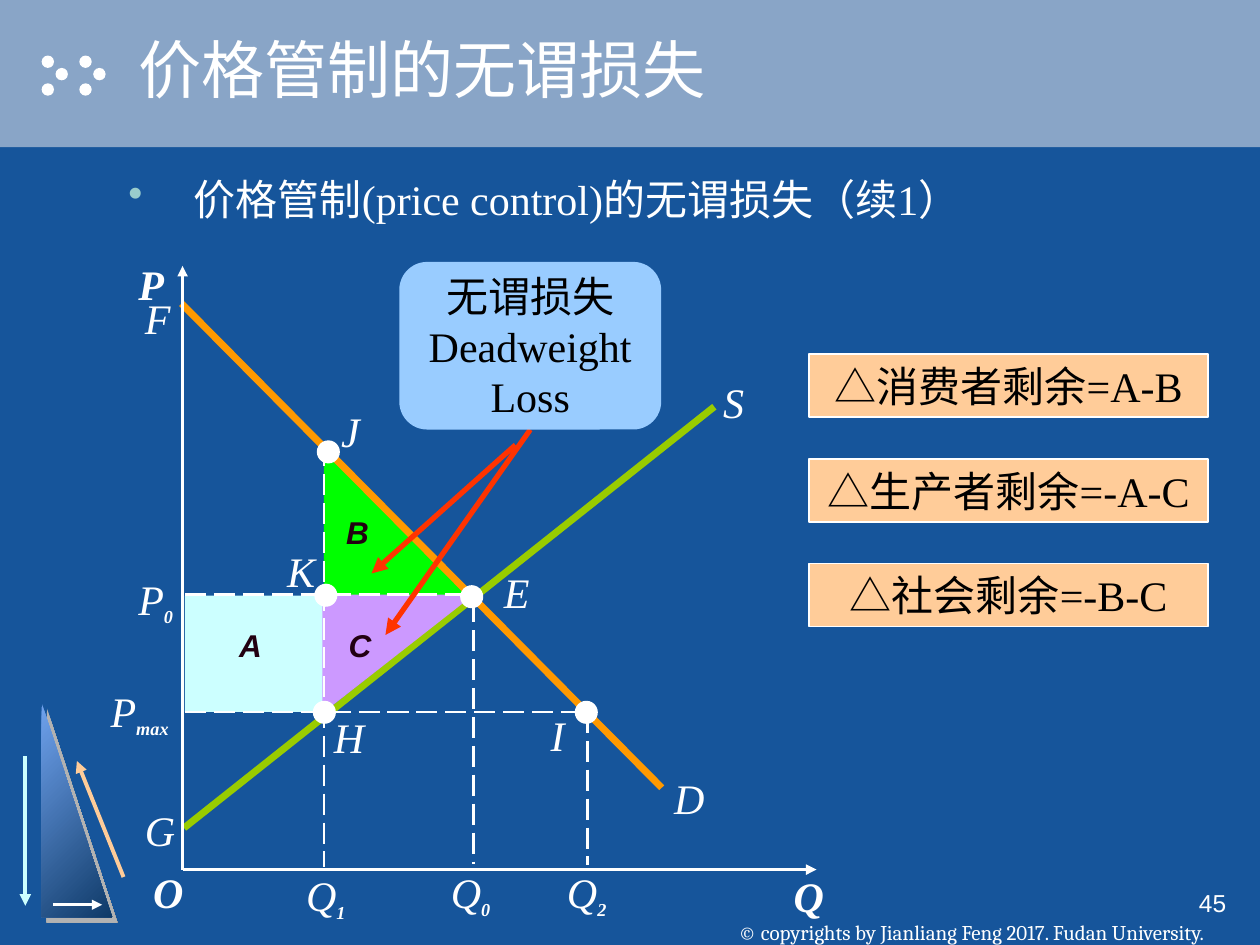
from dataclasses import dataclass
from lxml.etree import SubElement
from pptx import Presentation
from pptx.dml.color import RGBColor
from pptx.enum.dml import MSO_LINE_DASH_STYLE as Dash
from pptx.enum.shapes import MSO_CONNECTOR as Link, MSO_SHAPE as Shape
from pptx.enum.text import MSO_ANCHOR as Anchor, PP_ALIGN as Align
from pptx.oxml.ns import qn
from pptx.util import Cm, Pt


@dataclass(frozen=True)
class Theme:
    back: str = "16559B"
    band: str = "89A5C7"
    white: str = "FFFFFF"
    black: str = "000000"
    dark: str = "220011"
    supply: str = "99CC00"
    demand: str = "FF9900"
    area_a: str = "CCFFFF"
    area_b: str = "00FF00"
    area_c: str = "CC99FF"
    callout: str = "99CCFF"
    pointer: str = "FF3300"
    peach: str = "FFCC99"
    bullet: str = "99CCCC"
    wedge_light: str = "6FA2ED"
    wedge_dark: str = "0F3A68"
    wedge_shadow: str = "B2B2B2"
    serif: str = "Times New Roman"
    sans: str = "Arial"
    credit: str = "Cambria"
    title_size: int = 36
    text_size: int = 24
    small_size: int = 18
    number_size: int = 14
    credit_size: int = 12


T = Theme()

# Content, all places in centimetres
TITLE = "价格管制的无谓损失"
TOPIC = "价格管制(price control)的无谓损失（续1）"
CREDIT = "© copyrights by Jianliang Feng 2017. Fudan University."
PAGE = "45"
CALLOUT = ["无谓损失", "Deadweight", "Loss"]
RESULTS = ["△消费者剩余=A-B", "△生产者剩余=-A-C", "△社会剩余=-B-C"]

AXIS_X, AXIS_Y = 3.68, 17.53
Q1, Q0, Q2 = 6.53, 9.55, 11.84
P0, PMAX = 11.99, 14.35
GUIDE_X = 3.73
AXES = [(AXIS_X, AXIS_Y, AXIS_X, 5.36), (AXIS_X, AXIS_Y, 16.46, AXIS_Y)]
CURVES = [((3.71, 16.69, 14.4, 8.2), T.supply), ((3.66, 6.12, 13.34, 15.88), T.demand)]
GUIDES = [
    (GUIDE_X, P0, 9.4, P0), (Q0, 12.12, Q0, 17.42),
    (GUIDE_X, PMAX, 11.71, PMAX), (Q1, 14.25, Q1, 17.48),
    (Q2, PMAX, Q2, 17.44), (Q1, 8.97, Q1, PMAX),
]
POINTS = [(9.51, 12.03), (11.82, 14.36), (6.54, 14.36), (6.62, 9.11), (6.57, 12)]
AREA_B = (Shape.RIGHT_TRIANGLE, (Q1, 9.09, 2.95, 2.95), T.area_b, 0)
AREAS_AC = [
    (Shape.RECTANGLE, (GUIDE_X, 12.01, 2.82, 2.34), T.area_a, 0),
    (Shape.RIGHT_TRIANGLE, (6.83, 11.66, 2.39, 3.05), T.area_c, 90),
]
AREA_NAMES = [("B", 6.73, 10.21), ("A", 4.57, 12.5), ("C", 6.78, 12.5)]
# name, subscript, bold, left, top, width
NAMES = [
    ("S", "", False, 14.33, 7.47, 0.91), ("D", "", False, 13.34, 15.44, 1.12),
    ("F", "", False, 2.67, 5.77, 1.02), ("G", "", False, 2.67, 16.1, 1.12),
    ("E", "", False, 9.91, 11.3, 1.02), ("H", "", False, 6.48, 14.22, 1.12),
    ("I", "", False, 10.85, 14.17, 0.79), ("J", "", False, 6.63, 8.05, 0.89),
    ("K", "", False, 5.54, 10.87, 1.07),
    ("Q", "", True, 15.75, 17.42, 1.12), ("O", "", True, 2.84, 17.35, 1.12),
    ("P", "", True, 2.54, 5.08, 1.02),
    ("Q", "0", False, 8.84, 17.35, 1.3), ("P", "0", False, 2.54, 11.43, 1.3),
    ("Q", "1", False, 5.92, 17.4, 1.3), ("Q", "2", False, 11.18, 17.35, 1.3),
    ("P", "max", False, 1.98, 13.69, 1.7),
]
CHEVRON_DOTS = [(0.84, 1.12), (1.12, 1.37), (0.84, 1.68)]
WEDGE_ARROWS = [
    ((0.51, 15.24, 0.51, 18.26), T.area_a, 2.25),
    ((2.49, 17.68, 1.55, 15.34), T.peach, 2.25),
    ((1.07, 18.24, 2.06, 18.24), T.white, 1.5),
]

deck = Presentation()
deck.slide_width, deck.slide_height = Cm(25.4), Cm(19.05)
slide = deck.slides.add_slide(deck.slide_layouts[5])
slide.background.fill.solid()
slide.background.fill.fore_color.rgb = RGBColor.from_string(T.back)


def add_run(paragraph, text, size=T.text_size, color=T.white, font=T.serif, bold=False, italic=False):
    run = paragraph.add_run()
    run.text = text
    run.font.name, run.font.size = font, Pt(size)
    run.font.bold, run.font.italic = bold, italic
    run.font.color.rgb = RGBColor.from_string(color)
    return run


def add_box(box, wrap=True, anchor=Anchor.TOP, align=Align.LEFT):
    frame = slide.shapes.add_textbox(*map(Cm, box)).text_frame
    frame.word_wrap, frame.vertical_anchor = wrap, anchor
    frame.paragraphs[0].alignment = align
    return frame


def add_block(kind, box, color, outline=None, rotation=0):
    block = slide.shapes.add_shape(kind, *map(Cm, box))
    block.shadow.inherit = False
    block.rotation = rotation
    block.fill.solid()
    block.fill.fore_color.rgb = RGBColor.from_string(color)
    if outline:
        block.line.color.rgb = RGBColor.from_string(outline)
        block.line.width = Pt(1)
    else:
        block.line.fill.background()
    return block


def add_line(ends, color, width, arrow=False, dashed=False):
    line = slide.shapes.add_connector(Link.STRAIGHT, *map(Cm, ends))
    line.line.color.rgb = RGBColor.from_string(color)
    line.line.width = Pt(width)
    if dashed:
        line.line.dash_style = Dash.LONG_DASH
    if arrow:
        SubElement(line.line._get_or_add_ln(), qn("a:tailEnd"), type="triangle")
    SubElement(line._element.spPr, qn("a:effectLst"))
    return line


def add_shadow(effects, color, distance):
    shadow = SubElement(effects, qn("a:outerShdw"), dist=str(Pt(distance)), dir="2700000", algn="ctr")
    SubElement(shadow, qn("a:srgbClr"), val=color)


# Header band with its dots
add_block(Shape.RECTANGLE, (0, 0, 25.4, 2.97), T.band)
for shift in (0, 0.76):
    for left, top in CHEVRON_DOTS:
        add_block(Shape.OVAL, (left + shift, top, 0.25, 0.25), T.white)

# Corner wedge with arrows
wedge = add_block(Shape.RIGHT_TRIANGLE, (0.84, 14.17, 1.42, 4.32), T.wedge_light)
wedge.fill.gradient()
wedge.fill.gradient_angle = 315
for stop, color in zip(wedge.fill.gradient_stops, (T.wedge_light, T.wedge_dark)):
    stop.color.rgb = RGBColor.from_string(color)
add_shadow(wedge._element.spPr.find(qn("a:effectLst")), T.wedge_shadow, 4.2)
for ends, color, width in WEDGE_ARROWS:
    add_line(ends, color, width, arrow=True)

# Footer
credit = add_box((13.77, 17.78, 11.63, 1.27), False, Anchor.BOTTOM, Align.CENTER)
credit.margin_top = credit.margin_bottom = 0
add_run(credit.paragraphs[0], CREDIT, T.credit_size, font=T.credit)
page = add_box((19.69, 17.78, 5.28, 1.27), align=Align.RIGHT)
add_run(page.paragraphs[0], PAGE, T.number_size, font=T.sans)

# Title, brought in front of the header band
title = slide.shapes.title
title._element.getparent().append(title._element)
title.left, title.top, title.width, title.height = map(Cm, (2.54, 0, 22.86, 2.74))
title.text_frame.vertical_anchor = Anchor.MIDDLE
heading = title.text_frame.paragraphs[0]
heading.alignment = Align.LEFT
heading_run = add_run(heading, TITLE, T.title_size, font=T.sans)
effects = heading_run.font._element.makeelement(qn("a:effectLst"))
heading_run.font._element.find(qn("a:solidFill")).addnext(effects)
add_shadow(effects, T.dark, 2)

# Topic bullet
topic = add_box((2.34, 3.38, 20.75, 12.7)).paragraphs[0]
topic_format = topic._p.get_or_add_pPr()
topic_format.set("marL", str(Cm(1.32)))
topic_format.set("indent", str(-Cm(1.32)))
SubElement(SubElement(topic_format, qn("a:buClr")), qn("a:srgbClr"), val=T.bullet)
SubElement(topic_format, qn("a:buChar"), char="•")
add_run(topic, TOPIC)

# Diagram: areas, curves, axes, guides and points
kind, box, color, turn = AREA_B
add_block(kind, box, color, rotation=turn)
for ends, color in CURVES:
    add_line(ends, color, 4)
for kind, box, color, turn in AREAS_AC:
    add_block(kind, box, color, rotation=turn)
for ends in AXES:
    add_line(ends, T.white, 2, arrow=True)
for ends in GUIDES:
    add_line(ends, T.white, 1.5, dashed=True)
DOT = 0.43
for x, y in POINTS:
    add_block(Shape.OVAL, (x - DOT / 2, y - DOT / 2, DOT, DOT), T.white, T.white)

# Diagram: names
for name, left, top in AREA_NAMES:
    area_name = add_box((left, top, 0.97, 1.02), False).paragraphs[0]
    add_run(area_name, name, T.small_size, T.dark, T.sans, True, True)
for name, subscript, bold, left, top, width in NAMES:
    label = add_box((left, top, width, 1.32 if subscript else 1.27), False).paragraphs[0]
    add_run(label, name, bold=bold, italic=True)
    if subscript:
        lowered = add_run(label, subscript, T.small_size, bold=True, italic=True)
        lowered.font._element.set("baseline", "-25000")

# Deadweight loss callout and its pointers
add_line((10.39, 8.97, 7.49, 11.56), T.pointer, 3, arrow=True)
pointer = add_line((10.69, 8.66, 7.77, 12.8), T.pointer, 3, arrow=True)
callout = add_block(Shape.ROUNDED_RECTANGLE, (8.05, 5.28, 5.28, 3.38), T.callout)
pointer.begin_connect(callout, 2)
callout.text_frame.word_wrap = False
for i, text in enumerate(CALLOUT):
    row = callout.text_frame.add_paragraph() if i else callout.text_frame.paragraphs[0]
    row.alignment = Align.CENTER
    add_run(row, text, color=T.black)

# Surplus changes
for i, text in enumerate(RESULTS):
    result = add_block(Shape.RECTANGLE, (16.31, 7.14 + 2.11 * i, 8.05, 1.27), T.peach, T.white)
    result.text_frame.vertical_anchor = Anchor.TOP
    result.text_frame.paragraphs[0].alignment = Align.CENTER
    add_run(result.text_frame.paragraphs[0], text, color=T.black)

deck.save("out.pptx")
